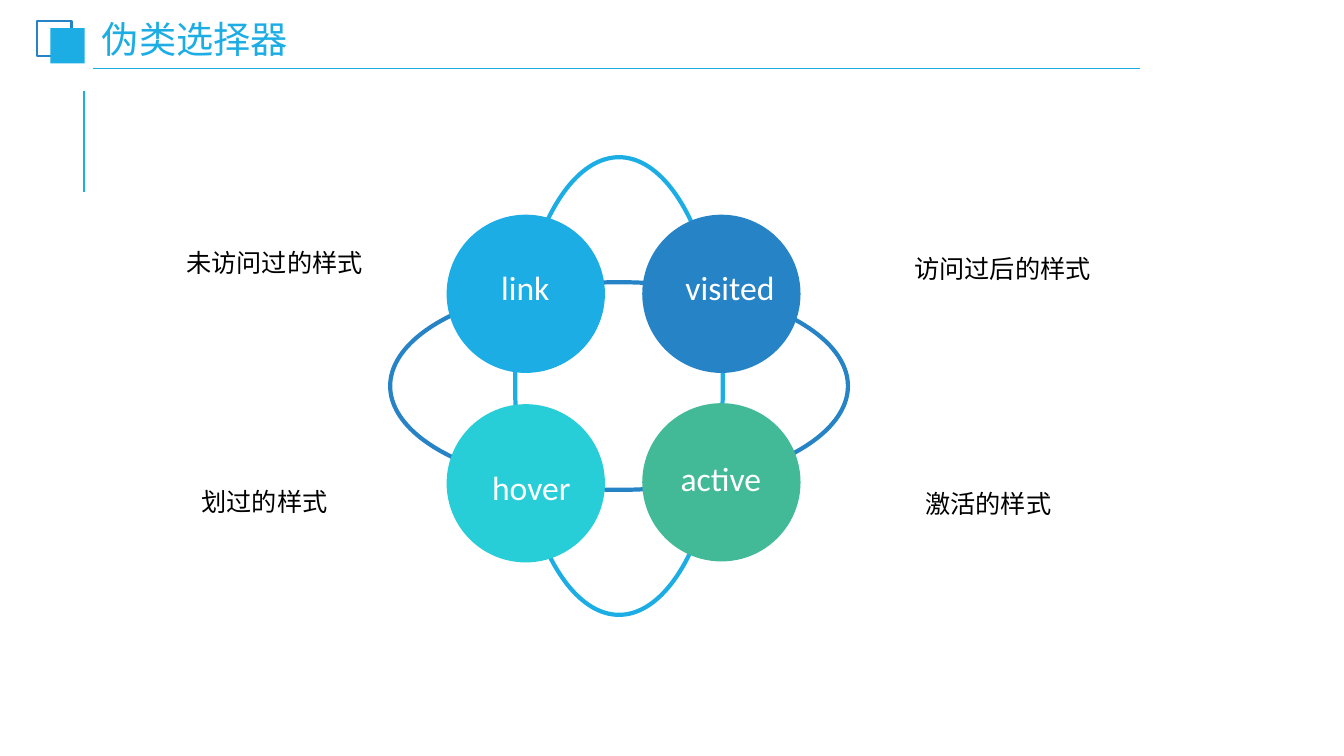
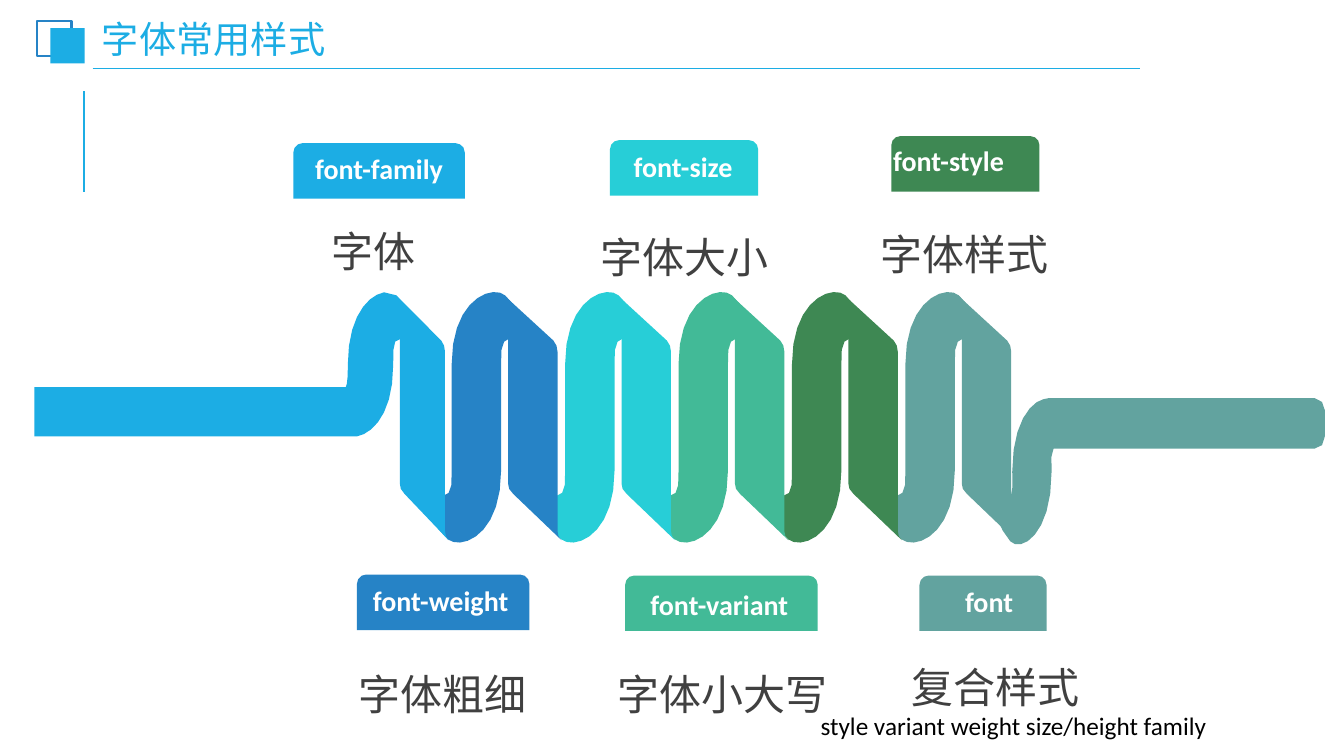
import dataclasses
import itertools
import math

import lxml.etree
import pptx
import pptx.dml.color
import pptx.enum.shapes
import pptx.enum.text
import pptx.oxml.ns
import pptx.util

Inches = pptx.util.Inches
SHAPE = pptx.enum.shapes.MSO_SHAPE
ALIGN = pptx.enum.text.PP_ALIGN
ANCHOR = pptx.enum.text.MSO_ANCHOR
FIT = pptx.enum.text.MSO_AUTO_SIZE


@dataclasses.dataclass(frozen=True)
class Theme:
    font: str = "Calibri"
    sky: str = "1CADE4"
    blue: str = "2683C6"
    cyan: str = "27CED7"
    green: str = "42BA97"
    forest: str = "3E8853"
    slate: str = "62A39F"
    white: str = "FFFFFF"
    black: str = "000000"
    grey: str = "404040"
    title: float = 26.6
    circle: float = 24
    tab: float = 20
    caption: float = 30
    note: float = 18


T = Theme()

STRAND = [
    (0.49, 4.67), (0.49, 3.62),
    (0.49, 3.5, 0.49, 3.42, 0.52, 3.39),
    (0.61, 3.3, 0.7, 3.35, 0.72, 3.28),
    (0.75, 3.19, 0.61, 3, 0.53, 2.93),
    (0.4, 2.82, 0, 2.97, 0, 3.61),
    (0, 4.67),
    (0, 4.79, 0, 4.86, -0.03, 4.89),
    (-0.12, 4.98, -0.21, 4.94, -0.23, 5),
    (-0.26, 5.09, -0.12, 5.28, -0.04, 5.35),
    (0.1, 5.46, 0.49, 5.31, 0.49, 4.67),
]
FOLD = [
    (0.53, 5.27), (0.53, 3.49), (0.52, 3.43), (0.49, 3.38), (0, 2.93),
    (0.03, 2.97), (0.04, 3.02), (0.04, 4.8), (0.05, 4.85), (0.09, 4.9),
    (0.57, 5.36), (0.54, 5.32),
]
LEFT_TAIL = [
    (3.81, 2.9),
    (3.86, 2.89, 3.9, 2.9, 3.93, 2.93),
    (4.01, 3, 4.14, 3.19, 4.11, 3.28),
    (4.09, 3.35, 4.01, 3.3, 3.92, 3.39),
    (3.9, 3.42, 3.9, 3.5, 3.9, 3.62),
    (3.9, 4.1, 3.7, 4.3, 3.54, 4.33),
    (0.34, 4.33), (0.34, 3.84), (3.43, 3.84), (3.44, 3.81),
    (3.45, 3.77, 3.45, 3.7, 3.45, 3.62),
    (3.45, 3.14, 3.65, 2.93, 3.81, 2.9),
]
RIGHT_TAIL = [
    (10.4, 3.95), (13.04, 3.95),
    (13.1, 3.95, 13.14, 4.01, 13.14, 4.07),
    (13.14, 4.33),
    (13.14, 4.4, 13.1, 4.45, 13.04, 4.45),
    (10.45, 4.45),
    (10.42, 4.48, 10.43, 4.56, 10.43, 4.68),
    (10.43, 5.32, 10.12, 5.48, 10.02, 5.37),
    (9.95, 5.29, 9.85, 5.11, 9.87, 5.01),
    (9.88, 4.95, 9.95, 4.99, 10.03, 4.9),
    (10.05, 4.88, 10.04, 4.8, 10.04, 4.68),
    (10.04, 4.2, 10.22, 3.99, 10.35, 3.96),
]


def rgb(color):
    return pptx.dml.color.RGBColor.from_string(color)


def set_attrs(obj, values):
    for name, value in values.items():
        setattr(obj, name, value)


def paint(sp, fill=None, line=None, width=1):
    sp.shadow.inherit = False
    if fill:
        sp.fill.solid()
        sp.fill.fore_color.rgb = rgb(fill)
    else:
        sp.fill.background()
    if line:
        sp.line.color.rgb = rgb(line)
        sp.line.width = pptx.util.Pt(width)
    else:
        sp.line.fill.background()
    return sp


def add_shape(s, kind, box, **look):
    return paint(s.shapes.add_shape(kind, *map(Inches, box)), **look)


def add_line(s, start, end, color, width):
    c = s.shapes.add_connector(
        pptx.enum.shapes.MSO_CONNECTOR.STRAIGHT, *map(Inches, start + end))
    c.line.color.rgb = rgb(color)
    c.line.width = pptx.util.Pt(width)
    lxml.etree.SubElement(c.element.spPr, pptx.oxml.ns.qn("a:effectLst"))
    return c


def write(tf, text, size, color, bold=False, align=ALIGN.LEFT, spacing=1.0):
    p = tf.paragraphs[0]
    set_attrs(p, {"alignment": align, "line_spacing": spacing})
    r = p.add_run()
    r.text = text
    set_attrs(r.font, {"name": T.font, "size": pptx.util.Pt(size), "bold": bold})
    r.font.color.rgb = rgb(color)


def add_text(s, box, text, size, color, wrap=True, anchor=ANCHOR.TOP,
             fit=FIT.SHAPE_TO_FIT_TEXT, **style):
    tf = s.shapes.add_textbox(*map(Inches, box)).text_frame
    set_attrs(tf, {"word_wrap": wrap, "auto_size": fit, "vertical_anchor": anchor})
    write(tf, text, size, color, **style)


def bezier(*controls, chord=0.15):
    length = sum(itertools.starmap(math.dist, zip(controls, controls[1:])))
    steps = math.ceil(length / chord)
    for i in range(1, steps + 1):
        t = i / steps
        u = 1 - t
        yield tuple(u**3 * a + 3 * u * u * t * b + 3 * u * t * t * c + t**3 * d
                    for a, b, c, d in zip(*controls))


def add_outline(s, outline, color, left=0, stretch=1):
    points = [outline[0]]
    for seg in outline[1:]:
        if len(seg) == 2:
            points.append(seg)
        else:
            points.extend(bezier(points[-1], seg[:2], seg[2:4], seg[4:]))
    points = [(Inches(left + x * stretch), Inches(y)) for x, y in points]
    fb = s.shapes.build_freeform(*points[0], scale=1.0)
    fb.add_line_segments(points[1:], close=True)
    paint(fb.convert_to_shape(), fill=color)


def add_title_slide(prs, layout, title):
    s = prs.slides.add_slide(layout)
    sp = s.shapes.title
    set_attrs(sp, dict(zip(("left", "top", "width", "height"),
                           map(Inches, (0.94, 0.23, 3.93, 0.37)))))
    tf = sp.text_frame
    set_attrs(tf, {
        "margin_left": Inches(0.07), "margin_right": Inches(0.07),
        "margin_top": Inches(0.04), "margin_bottom": Inches(0.04),
        "vertical_anchor": ANCHOR.MIDDLE, "auto_size": FIT.NONE, "word_wrap": True,
    })
    write(tf, title, T.title, T.sky, spacing=0.9)
    return s


def decorate_layout(layout, s):
    marks = [
        add_line(s, (0.83, 1.9), (0.83, 0.9), T.sky, 1.5),
        add_line(s, (0.92, 0.68), (11.31, 0.68), T.sky, 1.25),
        add_shape(s, SHAPE.RECTANGLE, (0.37, 0.21, 0.34, 0.35), line=T.blue, width=1.5),
        add_shape(s, SHAPE.RECTANGLE, (0.5, 0.28, 0.34, 0.35), fill=T.sky),
    ]
    for sp in marks:
        layout.shapes.element.append(sp.element)


def add_pseudo_classes(s):
    cx, cy, long, short = 6.14, 3.83, 4.54, 2.06
    for w, h, color in ((long, short, T.blue), (short, long, T.sky)):
        add_shape(s, SHAPE.OVAL, (cx - w / 2, cy - h / 2, w, h), line=color, width=3)
    states = [
        ("link", T.sky, 4.43, 2.13, 4.35, 2.46),
        ("visited", T.blue, 6.37, 2.13, 6.38, 2.46),
        ("hover", T.cyan, 4.43, 4.01, 4.41, 4.45),
        ("active", T.green, 6.37, 4, 6.29, 4.36),
    ]
    for name, color, x, y, text_x, text_y in states:
        add_shape(s, SHAPE.OVAL, (x, y, 1.57, 1.57), fill=color)
        add_text(s, (text_x, text_y, 1.72, 0.69), name, T.circle, T.white,
                 anchor=ANCHOR.MIDDLE, fit=FIT.NONE, align=ALIGN.CENTER, spacing=1.2)
    notes = [
        ("未访问过的样式", 1.75, 2.4, 1.97),
        ("访问过后的样式", 8.97, 2.46, 1.97),
        ("划过的样式", 1.9, 4.78, 1.46),
        ("激活的样式", 9.08, 4.8, 1.46),
    ]
    for text, x, y, w in notes:
        add_text(s, (x, y, w, 0.4), text, T.note, T.black, wrap=False)


def add_ribbon(s):
    add_outline(s, RIGHT_TAIL, T.slate)
    colors = [T.blue, T.cyan, T.green, T.forest, T.slate]
    first, last = 4.48, 8.98
    step = (last - first) / (len(colors) - 1)
    for i, color in reversed(list(enumerate(colors))):
        x = first + i * step
        add_outline(s, STRAND, color, x)
        add_outline(s, FOLD, color, x + 0.52)
    add_outline(s, LEFT_TAIL, T.sky)
    add_outline(s, FOLD, T.sky, 3.93, 0.52 / 0.57)


def add_font_styles(s):
    add_ribbon(s)
    tabs = [
        ("font-family", T.sky, (2.91, 1.42, 1.7), (2.67, 1.45, 2.18), ALIGN.CENTER),
        ("font-weight", T.blue, (3.54, 5.7, 1.71), (3.31, 5.74, 2.12), ALIGN.CENTER),
        ("font-size", T.cyan, (6.05, 1.39, 1.47), (6.04, 1.43, 1.47), ALIGN.CENTER),
        ("font-variant", T.green, (6.2, 5.71, 1.91), (5.85, 5.78, 2.57), ALIGN.CENTER),
        ("font-style", T.forest, (8.84, 1.35, 1.47), (8.76, 1.37, 1.63), ALIGN.LEFT),
        ("font", T.slate, (9.12, 5.71, 1.26), (9.18, 5.75, 1.26), ALIGN.CENTER),
    ]
    for name, color, box, text_box, align in tabs:
        add_shape(s, SHAPE.ROUND_2_SAME_RECTANGLE, box + (0.55,), fill=color)
        add_text(s, text_box + (0.44,), name, T.tab, T.white, bold=True, align=align)
    captions = [
        ("字体", 2.39, 2.04),
        ("字体大小", 5.48, 2.1),
        ("字体样式", 8.26, 2.07),
        ("字体粗细", 3.08, 6.43),
        ("字体小大写", 5.86, 6.43),
        ("复合样式", 8.56, 6.36),
    ]
    for text, x, y in captions:
        add_text(s, (x, y, 2.62, 0.71), text, T.caption, T.grey,
                 align=ALIGN.CENTER, spacing=1.3)
    add_text(s, (8.04, 7, 4.05, 0.4), "style variant weight size/height family",
             T.note, T.black, wrap=False)


def main():
    prs = pptx.Presentation()
    set_attrs(prs, {"slide_width": Inches(13.33), "slide_height": Inches(7.5)})
    layout = prs.slide_layouts[5]
    pseudo = add_title_slide(prs, layout, "伪类选择器")
    decorate_layout(layout, pseudo)
    add_pseudo_classes(pseudo)
    add_font_styles(add_title_slide(prs, layout, "字体常用样式"))
    prs.save("out.pptx")


if __name__ == "__main__":
    main()
